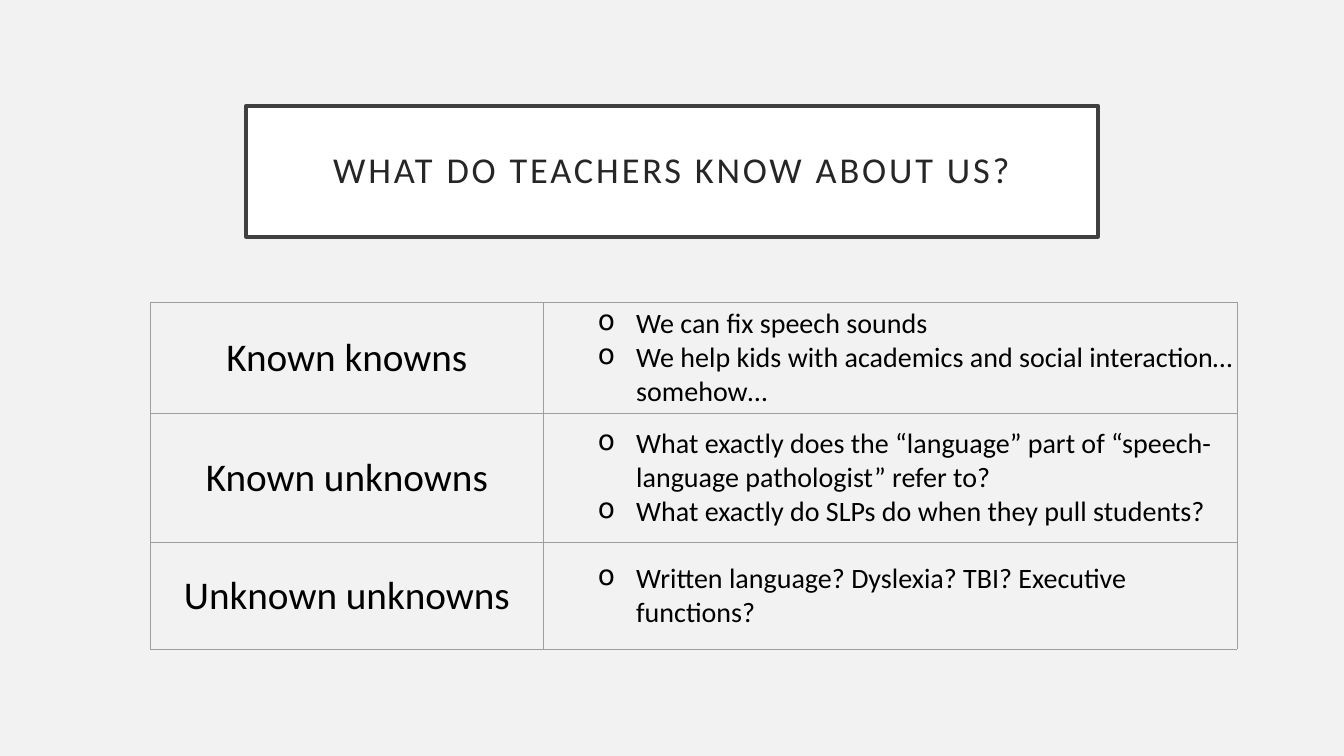
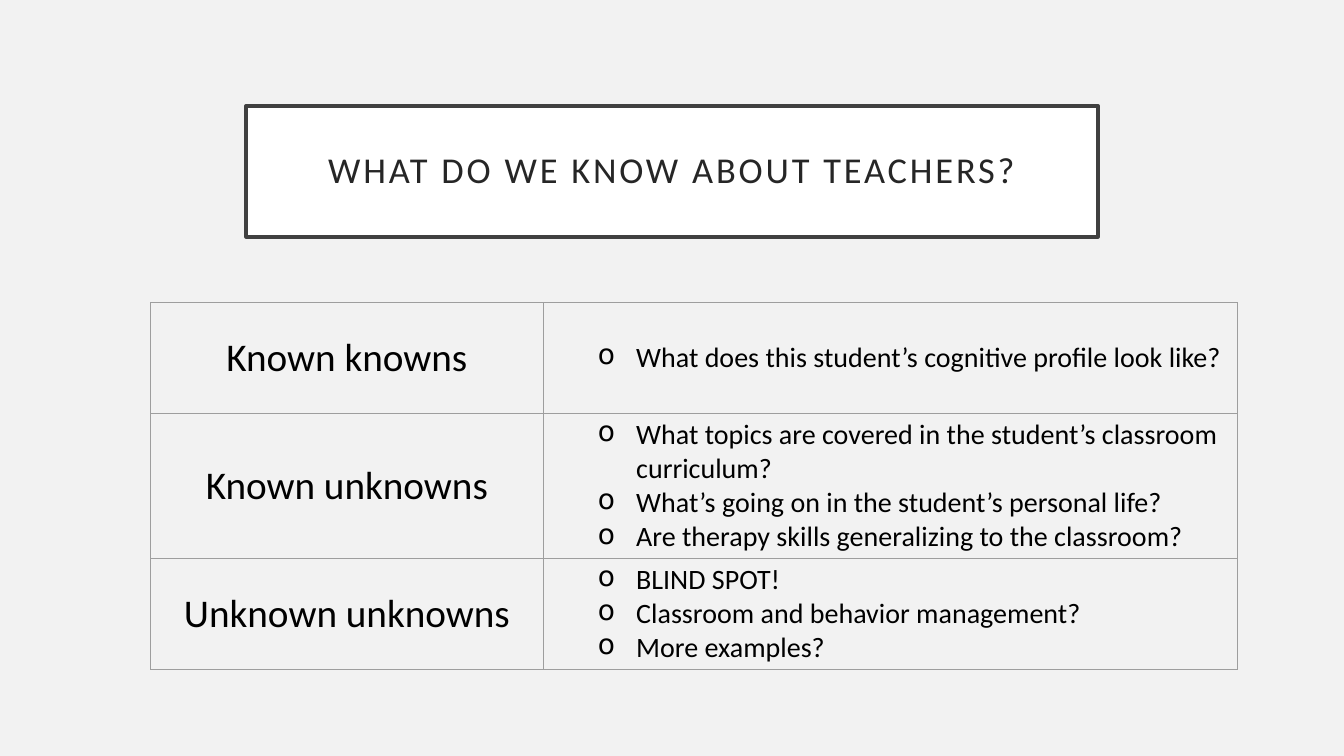
import pptx
import pptx.util
import pptx.dml.color
import pptx.enum.shapes
import pptx.enum.text
import pptx.oxml
import pptx.oxml.ns

Inches = pptx.util.Inches
Pt = pptx.util.Pt
ALIGN = pptx.enum.text.PP_ALIGN
MIDDLE = pptx.enum.text.MSO_ANCHOR.MIDDLE

COLORS = {
    "background": "F2F2F2",
    "title_fill": "FFFFFF",
    "title_line": "404040",
    "title_text": "262626",
    "text": "000000",
    "border": "9E9E9E",
}
FONT = "Calibri"
TITLE_FONT = {"name": FONT, "size": Pt(26), "bold": False}
LABEL_FONT = {"name": FONT, "size": Pt(28), "bold": False}
BULLET_FONT = {"name": FONT, "size": Pt(20), "bold": False}

TITLE_BOX = (2.44, 1.05, 8.45, 1.3)
TABLE_BOX = (1.49, 3, 10.78, 3.44)
COLUMN_WIDTHS = (3.9, 6.88)
ROW_HEIGHTS = (1.1, 1.28, 1.06)
LABELS = ("Known knowns", "Known unknowns", "Unknown unknowns")

SLIDES = [
    ("WHAT DO TEACHERS KNOW ABOUT US?", [
        ["We can fix speech sounds",
         "We help kids with academics and social interaction… somehow…"],
        ["What exactly does the “language” part of “speech-language "
         "pathologist” refer to?",
         "What exactly do SLPs do when they pull students?"],
        ["Written language? Dyslexia? TBI? Executive functions?"],
    ]),
    ("WHAT DO WE KNOW ABOUT TEACHERS?", [
        ["What does this student’s cognitive profile look like?"],
        ["What topics are covered in the student’s classroom curriculum?",
         "What’s going on in the student’s personal life?",
         "Are therapy skills generalizing to the classroom?"],
        ["BLIND SPOT!",
         "Classroom and behavior management?",
         "More examples?"],
    ]),
]


def rgb(key):
    return pptx.dml.color.RGBColor.from_string(COLORS[key])


def set_margins(target, inches):
    for side in ("left", "top", "right", "bottom"):
        setattr(target, f"margin_{side}", Inches(inches))


def add_run(p, text, fmt, color):
    r = p.add_run()
    r.text = text
    for name, value in fmt.items():
        setattr(r.font, name, value)
    r.font.color.rgb = rgb(color)
    return r


def make_bullet(p):
    """Give the paragraph a hanging "o" bullet at the second level."""
    p.level = 1
    pPr = p._p.get_or_add_pPr()
    pPr.set("marL", str(Inches(0.88)))
    pPr.set("indent", str(Inches(-0.38)))
    pPr.append(pptx.oxml.parse_xml(
        f'<a:buChar {pptx.oxml.ns.nsdecls("a")} char="o"/>'))


def set_borders(cell):
    tcPr = cell._tc.get_or_add_tcPr()
    for i, tag in enumerate(("lnL", "lnR", "lnT", "lnB")):
        tcPr.insert(i, pptx.oxml.parse_xml(
            f'<a:{tag} {pptx.oxml.ns.nsdecls("a")} w="{Pt(0.3)}">'
            f'<a:solidFill><a:srgbClr val="{COLORS["border"]}"/></a:solidFill>'
            f'</a:{tag}>'))


def add_title(s, box, text):
    sp = s.shapes.add_shape(pptx.enum.shapes.MSO_SHAPE.RECTANGLE,
                            *map(Inches, box))
    sp.shadow.inherit = False
    sp.fill.solid()
    sp.fill.fore_color.rgb = rgb("title_fill")
    sp.line.color.rgb = rgb("title_line")
    sp.line.width = Pt(2.5)
    tf = sp.text_frame
    tf.word_wrap = True
    tf.vertical_anchor = MIDDLE
    set_margins(tf, 0.2)
    p = tf.paragraphs[0]
    p.alignment = ALIGN.CENTER
    p.line_spacing = 0.9
    r = add_run(p, text, TITLE_FONT, "title_text")
    r._r.get_or_add_rPr().set("spc", "200")


def style_cell(cell):
    cell.fill.background()
    cell.vertical_anchor = MIDDLE
    set_margins(cell, 0.04)
    set_borders(cell)


def fill_label(cell, text):
    style_cell(cell)
    p = cell.text_frame.paragraphs[0]
    p.alignment = ALIGN.CENTER
    add_run(p, text, LABEL_FONT, "text")


def fill_bullets(cell, items):
    style_cell(cell)
    tf = cell.text_frame
    for i, item in enumerate(items):
        p = tf.add_paragraph() if i else tf.paragraphs[0]
        make_bullet(p)
        add_run(p, item, BULLET_FONT, "text")


def add_knowledge_table(s, box, answers):
    table = s.shapes.add_table(len(LABELS), len(COLUMN_WIDTHS),
                               *map(Inches, box)).table
    table.first_row = False
    table.horz_banding = False
    for column, width in zip(table.columns, COLUMN_WIDTHS):
        column.width = Inches(width)
    for row, height, label, items in zip(table.rows, ROW_HEIGHTS, LABELS,
                                         answers):
        row.height = Inches(height)
        fill_label(row.cells[0], label)
        fill_bullets(row.cells[1], items)


def add_knowledge_slide(prs, title, answers):
    s = prs.slides.add_slide(prs.slide_layouts[6])
    add_title(s, TITLE_BOX, title)
    add_knowledge_table(s, TABLE_BOX, answers)


def main():
    prs = pptx.Presentation()
    prs.slide_width = Inches(13.33)
    prs.slide_height = Inches(7.5)
    fill = prs.slide_master.background.fill
    fill.solid()
    fill.fore_color.rgb = rgb("background")
    for title, answers in SLIDES:
        add_knowledge_slide(prs, title, answers)
    prs.save("out.pptx")


if __name__ == "__main__":
    main()
